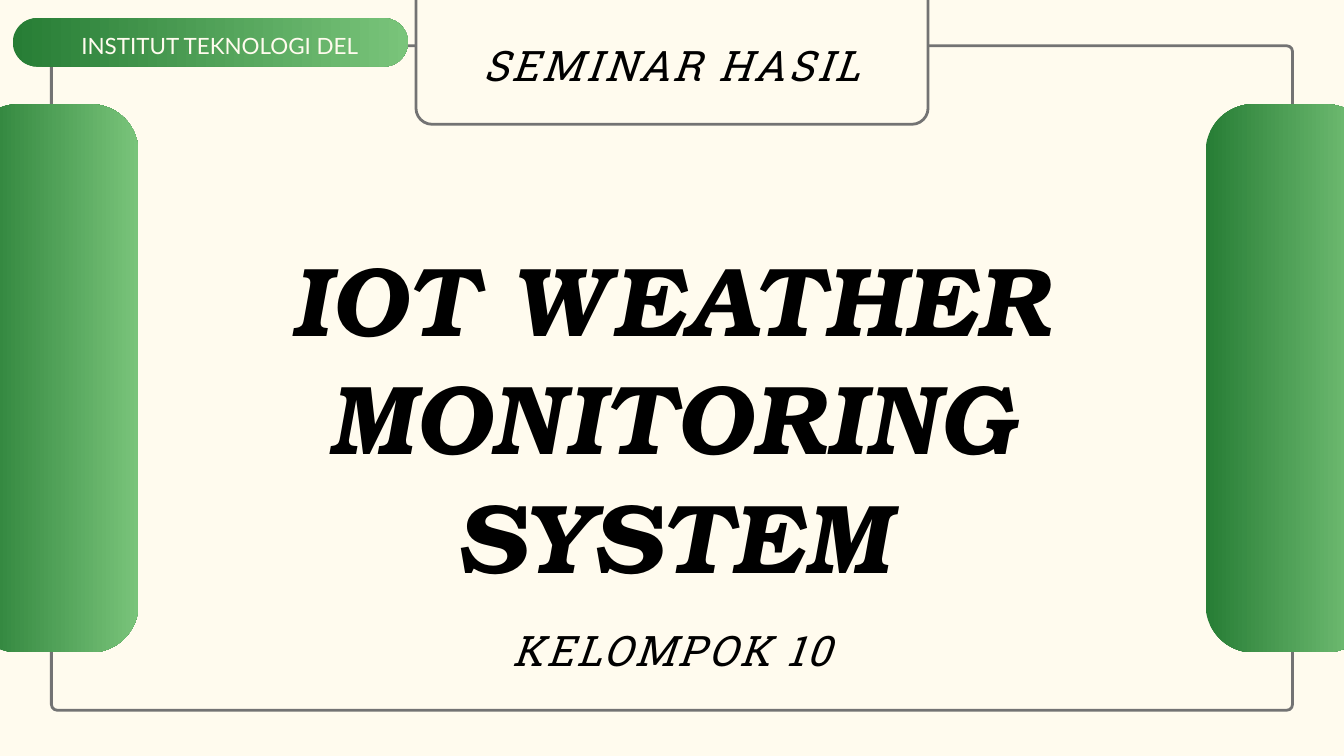
from pptx import Presentation
from pptx.dml.color import RGBColor
from pptx.enum.shapes import MSO_SHAPE
from pptx.enum.text import MSO_ANCHOR, MSO_AUTO_SIZE, PP_ALIGN
from pptx.util import Inches, Pt

WIDTH, HEIGHT = 20, 11.25
CREAM = RGBColor(0xFF, 0xFB, 0xEE)
GRAY = RGBColor(0x73, 0x73, 0x73)
BLACK = RGBColor(0, 0, 0)
DARK_GREEN = RGBColor(0x27, 0x7D, 0x35)
LIGHT_GREEN = RGBColor(0x79, 0xC4, 0x7A)

TITLE = "IOT WEATHER MONITORING SYSTEM"
EVENT = "SEMINAR HASIL"
GROUP = "KELOMPOK 10"
INSTITUTE = "INSTITUT TEKNOLOGI DEL"

TITLE_STYLE = dict(font="TeX Gyre Bonum", size=105, line=127, spacing=2.1,
                   bold=True, italic=True)
LABEL_STYLE = dict(font="Roboto Slab", size=45, line=63, spacing=3.4, italic=True)
INSTITUTE_STYLE = dict(font="Lato", size=24, line=33.6, color=CREAM,
                       align=PP_ALIGN.LEFT)

PANEL_WIDTH, PANEL_OVERHANG = 2.5, 0.44


def centered(top, width, height):
    """Return a box centred across the slide."""
    return (WIDTH - width) / 2, top, width, height


def add_rounded(slide, box, radius):
    shape = slide.shapes.add_shape(MSO_SHAPE.ROUNDED_RECTANGLE, *map(Inches, box))
    shape.adjustments[0] = radius / min(box[2:])
    shape.shadow.inherit = False
    return shape


def add_outlined(slide, box, radius, fill=None):
    shape = add_rounded(slide, box, radius)
    if fill is None:
        shape.fill.background()
    else:
        shape.fill.solid()
        shape.fill.fore_color.rgb = fill
    shape.line.color.rgb = GRAY
    shape.line.width = Pt(3)


def add_gradient(slide, box, radius):
    shape = add_rounded(slide, box, radius)
    shape.line.fill.background()
    shape.fill.gradient()
    shape.fill.gradient_angle = 0
    for stop, color in zip(shape.fill.gradient_stops, (DARK_GREEN, LIGHT_GREEN)):
        stop.color.rgb = color


def write(shape, box, text, font, size, line, spacing=0, bold=False, italic=False,
          color=BLACK, align=PP_ALIGN.CENTER):
    shape.left, shape.top, shape.width, shape.height = map(Inches, box)
    frame = shape.text_frame
    frame.margin_left = frame.margin_right = frame.margin_top = frame.margin_bottom = 0
    frame.word_wrap = True
    frame.auto_size = MSO_AUTO_SIZE.SHAPE_TO_FIT_TEXT
    frame.vertical_anchor = MSO_ANCHOR.TOP
    paragraph = frame.paragraphs[0]
    paragraph.text = text
    paragraph.alignment = align
    paragraph.line_spacing = Pt(line)
    paragraph.space_before = Pt(0)
    paragraph.font.name = font
    paragraph.font.size = Pt(size)
    paragraph.font.bold = bold
    paragraph.font.italic = italic
    paragraph.font.color.rgb = color
    properties = paragraph._p.get_or_add_pPr().get_or_add_defRPr()
    properties.set("spc", str(round(spacing * 100)))


def add_text(slide, box, text, style):
    write(slide.shapes.add_textbox(0, 0, 0, 0), box, text, **style)


def main():
    presentation = Presentation()
    presentation.slide_width, presentation.slide_height = Inches(WIDTH), Inches(HEIGHT)
    slide = presentation.slides.add_slide(presentation.slide_layouts[5])
    slide.background.fill.solid()
    slide.background.fill.fore_color.rgb = CREAM

    add_outlined(slide, centered(0.68, 18.47, 9.89), 0.09)
    for left in (-PANEL_OVERHANG, WIDTH + PANEL_OVERHANG - PANEL_WIDTH):
        add_gradient(slide, (left, 1.55, PANEL_WIDTH, 8.16), 0.71)
    add_outlined(slide, centered(-0.59, 7.62, 2.44), 0.24, CREAM)
    add_gradient(slide, (0.19, 0.27, 5.88, 0.72), 0.36)

    write(slide.shapes.title, centered(3.53, 15.34, 3.85), TITLE, **TITLE_STYLE)
    for top, text in ((0.46, EVENT), (9.17, GROUP)):
        add_text(slide, centered(top, 7.21, 0.98), text, LABEL_STYLE)
    add_text(slide, (1.21, 0.41, 4.32, 0.44), INSTITUTE, INSTITUTE_STYLE)

    presentation.save("out.pptx")


if __name__ == "__main__":
    main()
